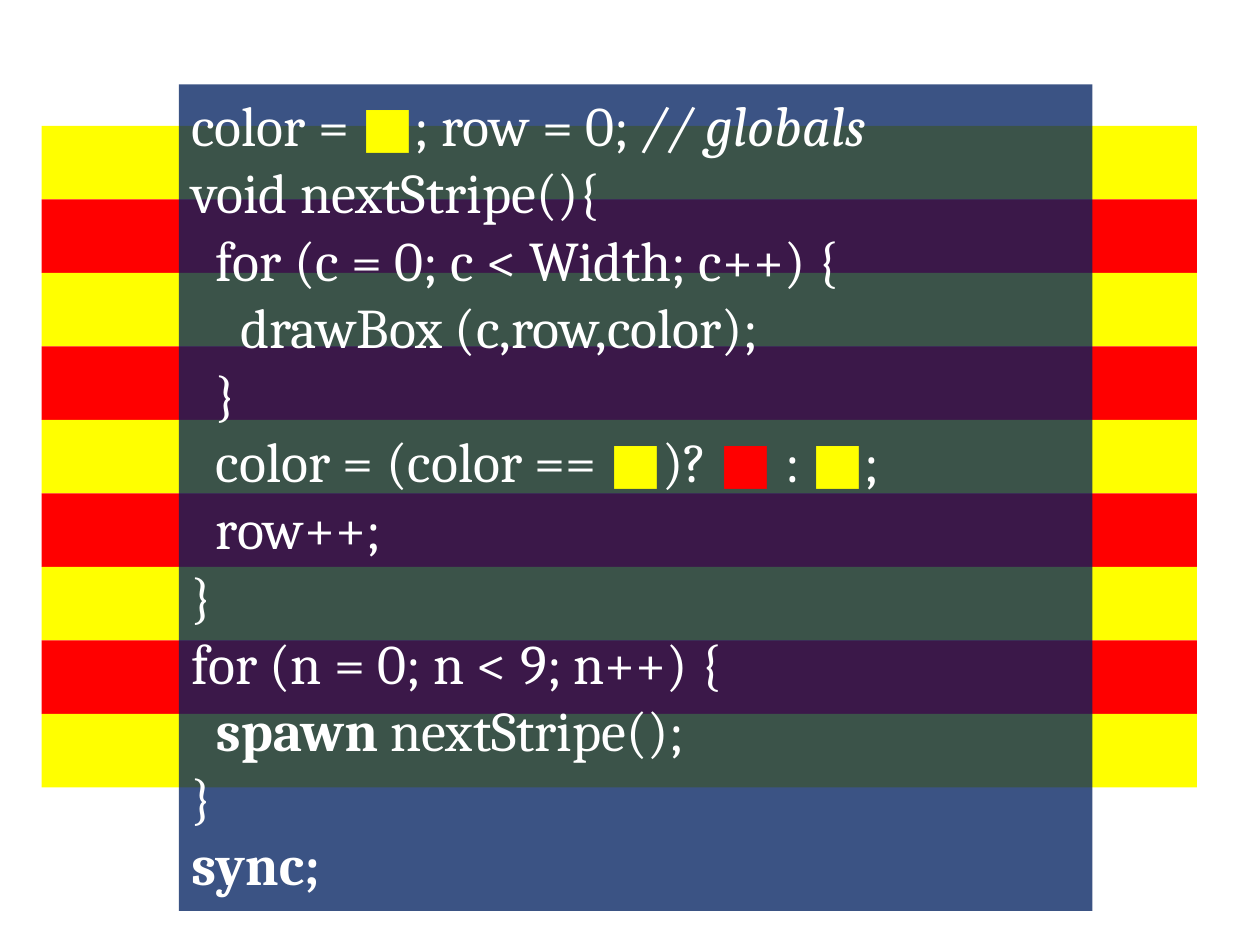
from lxml.etree import SubElement
from pptx import Presentation
from pptx.dml.color import RGBColor
from pptx.enum.shapes import MSO_SHAPE
from pptx.enum.text import MSO_AUTO_SIZE
from pptx.oxml.ns import qn
from pptx.util import Inches, Pt

COLORS = {"yellow": "FFFF00", "red": "FF0000", "navy": "002060", "white": "FFFFFF"}
STRIPE_COUNT = 9
STRIPE_HEIGHT = 5.25 / STRIPE_COUNT

YELLOW_BOX = ("■", "yellow")
RED_BOX = ("■", "red")
CODE = [
    ["color = ", YELLOW_BOX, "; row = 0; ", ("// globals", "italic")],
    ["void nextStripe(){"],
    ["  for (c = 0; c < Width; c++) {"],
    ["    drawBox (c,row,color);"],
    ["  }"],
    ["  color = (color == ", YELLOW_BOX, ")? ", RED_BOX, " : ", YELLOW_BOX, ";", "\n", "  row++;"],
    ["}"],
    ["for (n = 0; n < 9; n++) {"],
    ["  ", ("spawn ", "bold"), "nextStripe();"],
    ["}"],
    [("sync;", "bold")],
]


class SlideBuilder:
    font_name = "Cambria"
    font_size = Pt(32)

    def __init__(self, slide):
        self.slide = slide

    def color(self, name):
        return RGBColor.from_string(COLORS[name])

    def stripe(self, left, top, width, height, color):
        shape = self.slide.shapes.add_shape(
            MSO_SHAPE.RECTANGLE, Inches(left), Inches(top), Inches(width), Inches(height)
        )
        shape.shadow.inherit = False
        shape.fill.solid()
        shape.fill.fore_color.rgb = self.color(color)
        shape.line.fill.background()

    def code_panel(self, left, top, width, height, lines, color, opacity):
        panel = self.slide.shapes.add_textbox(
            Inches(left), Inches(top), Inches(width), Inches(height)
        )
        panel.fill.solid()
        panel.fill.fore_color.rgb = self.color(color)
        fill_color = panel.element.spPr.find(qn("a:solidFill")).find(qn("a:srgbClr"))
        SubElement(fill_color, qn("a:alpha")).set("val", str(opacity * 1000))
        text_frame = panel.text_frame
        text_frame.word_wrap = True
        text_frame.auto_size = MSO_AUTO_SIZE.SHAPE_TO_FIT_TEXT
        for index, pieces in enumerate(lines):
            paragraph = text_frame.paragraphs[0] if index == 0 else text_frame.add_paragraph()
            self.code_line(paragraph, pieces)

    def code_line(self, paragraph, pieces):
        paragraph.font.name = self.font_name
        paragraph.font.size = self.font_size
        paragraph.font.color.rgb = self.color("white")
        for piece in pieces:
            if piece == "\n":
                paragraph.add_line_break()
                continue
            text, style = piece if isinstance(piece, tuple) else (piece, None)
            run = paragraph.add_run()
            run.text = text
            if style == "bold":
                run.font.bold = True
            elif style == "italic":
                run.font.italic = True
            elif style:
                run.font.color.rgb = self.color(style)


def main():
    presentation = Presentation()
    presentation.slide_width = Inches(10)
    presentation.slide_height = Inches(7.5)
    builder = SlideBuilder(presentation.slides.add_slide(presentation.slide_layouts[6]))
    for row in range(STRIPE_COUNT):
        color = "red" if row % 2 else "yellow"
        builder.stripe(0.33, 1 + row * STRIPE_HEIGHT, 9.17, STRIPE_HEIGHT, color)
    builder.code_panel(1.42, 0.67, 7.25, 6.56, CODE, "navy", 77)
    presentation.save("out.pptx")


if __name__ == "__main__":
    main()
